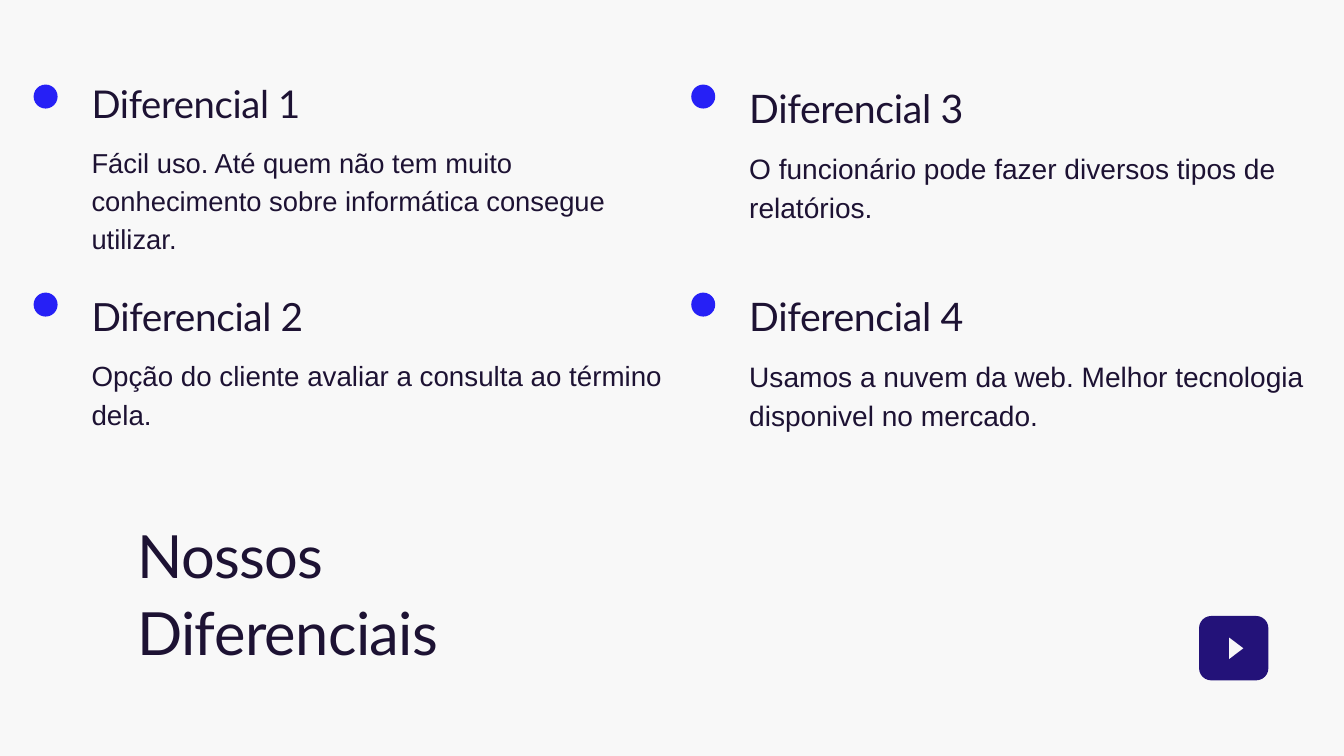
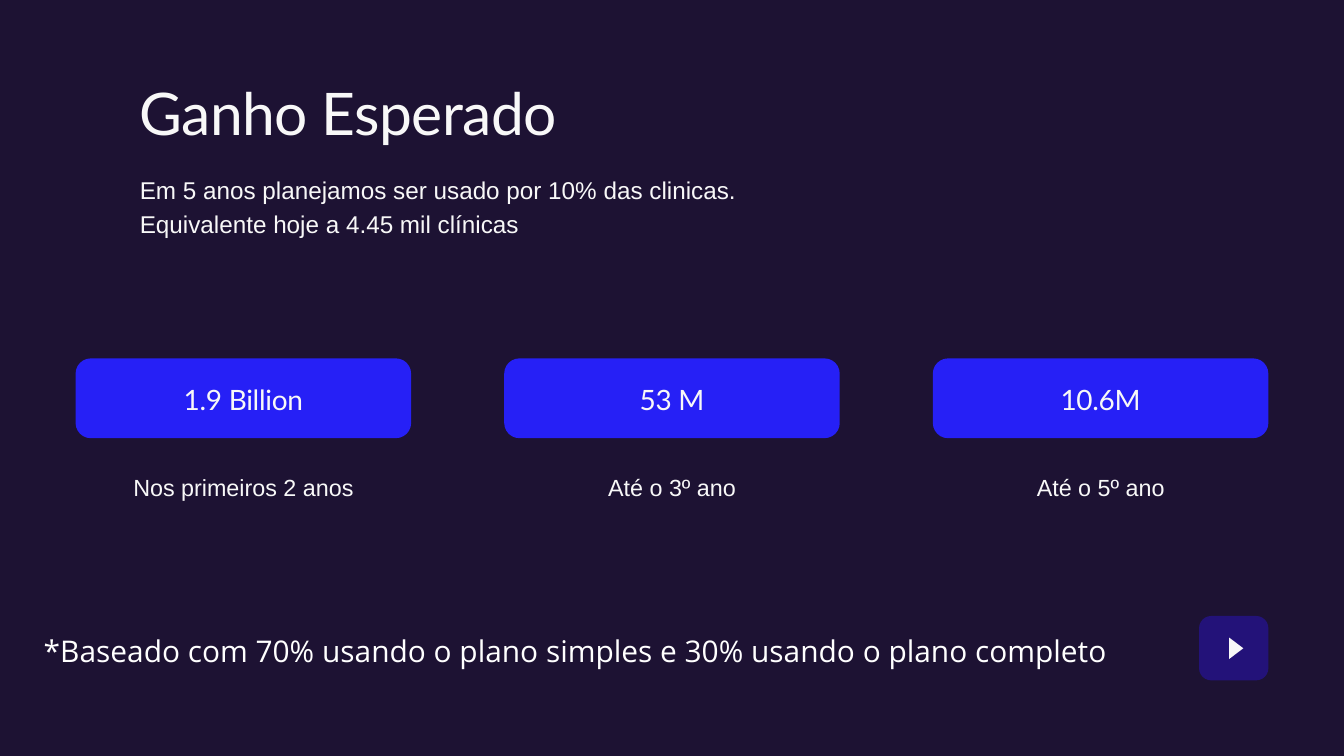
from pptx import Presentation
from pptx.dml.color import RGBColor
from pptx.enum import shapes, text
from pptx.util import Pt

INK = RGBColor(0x1D, 0x12, 0x33)
PAPER = RGBColor(0xF8, 0xF8, 0xF8)
WHITE = RGBColor(0xFF, 0xFF, 0xFF)
BLUE = RGBColor(0x26, 0x20, 0xF6)
INDIGO = RGBColor(0x23, 0x12, 0x79)

HEADING, BODY, NOTE = "Lato", "Arial", "Open Sans"
LEFT, CENTER = text.PP_ALIGN.LEFT, text.PP_ALIGN.CENTER
OVAL = shapes.MSO_SHAPE.OVAL
ROUNDED = shapes.MSO_SHAPE.ROUNDED_RECTANGLE
TRIANGLE = shapes.MSO_SHAPE.ISOSCELES_TRIANGLE

PAGE_WIDTH, PAGE_HEIGHT = 1440, 810
MARGIN = 81
CORNER = 0.19


def add_text(page, lines, area, font, size, color, align=LEFT):
    """Headings are set tighter than other text, in line and letter spacing."""
    box = page.shapes.add_textbox(*map(Pt, area))
    frame = box.text_frame
    frame.word_wrap = True
    frame.auto_size = text.MSO_AUTO_SIZE.SHAPE_TO_FIT_TEXT
    frame.margin_left = frame.margin_right = 0
    frame.margin_top = frame.margin_bottom = 0
    leading = 1.3 if font == HEADING else 1.4
    for index, line in enumerate(lines):
        para = frame.add_paragraph() if index else frame.paragraphs[0]
        para.alignment = align
        para.line_spacing = Pt(round(size * leading, 1))
        span = para.add_run()
        span.text = line
        span.font.name = font
        span.font.size = Pt(size)
        span.font.color.rgb = color
        if font == HEADING:
            span._r.get_or_add_rPr().set("spc", str(-round(size)))


def add_solid(page, kind, area, color):
    solid = page.shapes.add_shape(kind, *map(Pt, area))
    solid.shadow.inherit = False
    solid.fill.solid()
    solid.fill.fore_color.rgb = color
    solid.line.fill.background()
    if kind == ROUNDED:
        solid.adjustments[0] = CORNER
    return solid


deck = Presentation()
deck.slide_width, deck.slide_height = Pt(PAGE_WIDTH), Pt(PAGE_HEIGHT)

# Both pages: background and the "next" button
pages = []
for background in (PAPER, INK):
    page = deck.slides.add_slide(deck.slide_layouts[6])
    page.background.fill.solid()
    page.background.fill.fore_color.rgb = background
    button_width = 74.3
    add_solid(page, ROUNDED,
              (PAGE_WIDTH - MARGIN - button_width, 660, button_width, 69), INDIGO)
    arrow = add_solid(page, TRIANGLE, (1313, 687, 23, 15.2), PAPER)
    arrow.rotation = 90
    pages.append(page)
strengths_page, gains_page = pages

# Strengths: two columns of two
LEFT_DOT, RIGHT_DOT = 36, 740.6
UPPER_DOT, LOWER_DOT = 90.6, 313.5
DOT_SIZE = 25.7
strengths = [
    # dot left, dot top, heading top, body top, width, heading size, body size
    (LEFT_DOT, UPPER_DOT, 82.1, 150.5, 622, 41, 29.3, "Diferencial 1",
     "Fácil uso. Até quem não tem muito conhecimento sobre informática consegue utilizar."),
    (LEFT_DOT, LOWER_DOT, 308.9, 378.7, 629.3, 41.6, 29.7, "Diferencial 2",
     "Opção do cliente avaliar a consulta ao término dela."),
    (RIGHT_DOT, UPPER_DOT, 86.4, 156.2, 637.2, 42.1, 30.1, "Diferencial 3",
     "O funcionário pode fazer diversos tipos de relatórios."),
    (RIGHT_DOT, LOWER_DOT, 308.9, 378.7, 637.2, 42.1, 30.1, "Diferencial 4",
     "Usamos a nuvem da web. Melhor tecnologia disponivel no mercado."),
]
for (dot_left, dot_top, heading_top, body_top, width,
     heading_size, body_size, heading, body) in strengths:
    text_left = dot_left + 62.1
    add_solid(strengths_page, OVAL, (dot_left, dot_top, DOT_SIZE, DOT_SIZE), BLUE)
    add_text(strengths_page, [heading], (text_left, heading_top, width, 52),
             HEADING, heading_size, INK)
    add_text(strengths_page, [body], (text_left, body_top, width, 81),
             BODY, body_size, INK)
add_text(strengths_page, ["Nossos", "Diferenciais"], (146.9, 549.4, 676.8, 163.4),
         HEADING, 63.8, INK)

# Expected gains: title, then three cards with equal gaps
add_text(gains_page, ["Ganho Esperado"], (149.8, 76.3, 535, 79.2),
         HEADING, 62.9, PAPER)
add_text(gains_page,
         ["Em 5 anos planejamos ser usado por 10% das clinicas. "
          "Equivalente hoje a 4.45 mil clínicas"],
         (149.8, 182.2, 705.6, 69.8), BODY, 26, PAPER)

gains = [
    ("1.9 Billion", "Nos primeiros 2 anos"),
    ("53 M", "Até o 3º ano"),
    ("10.6M", "Até o 5º ano"),
]
CARD_WIDTH = 359.5
CARD_STEP = (PAGE_WIDTH - 2 * MARGIN - CARD_WIDTH) / (len(gains) - 1)
for index, (amount, period) in enumerate(gains):
    card_left = MARGIN + index * CARD_STEP
    add_solid(gains_page, ROUNDED, (card_left, 384, CARD_WIDTH, 85.5), BLUE)
    add_text(gains_page, [amount], (card_left + 36, 406.8, CARD_WIDTH - 72, 38.2),
             HEADING, 30, PAPER, CENTER)
    add_text(gains_page, [period], (card_left, 501.8, CARD_WIDTH, 33.8),
             BODY, 25, PAPER, CENTER)

add_text(gains_page,
         ["*Baseado com 70% usando o plano simples e 30% usando o plano completo"],
         (0, 671, 1234, 42.5), NOTE, 32, WHITE, CENTER)

deck.save("out.pptx")
